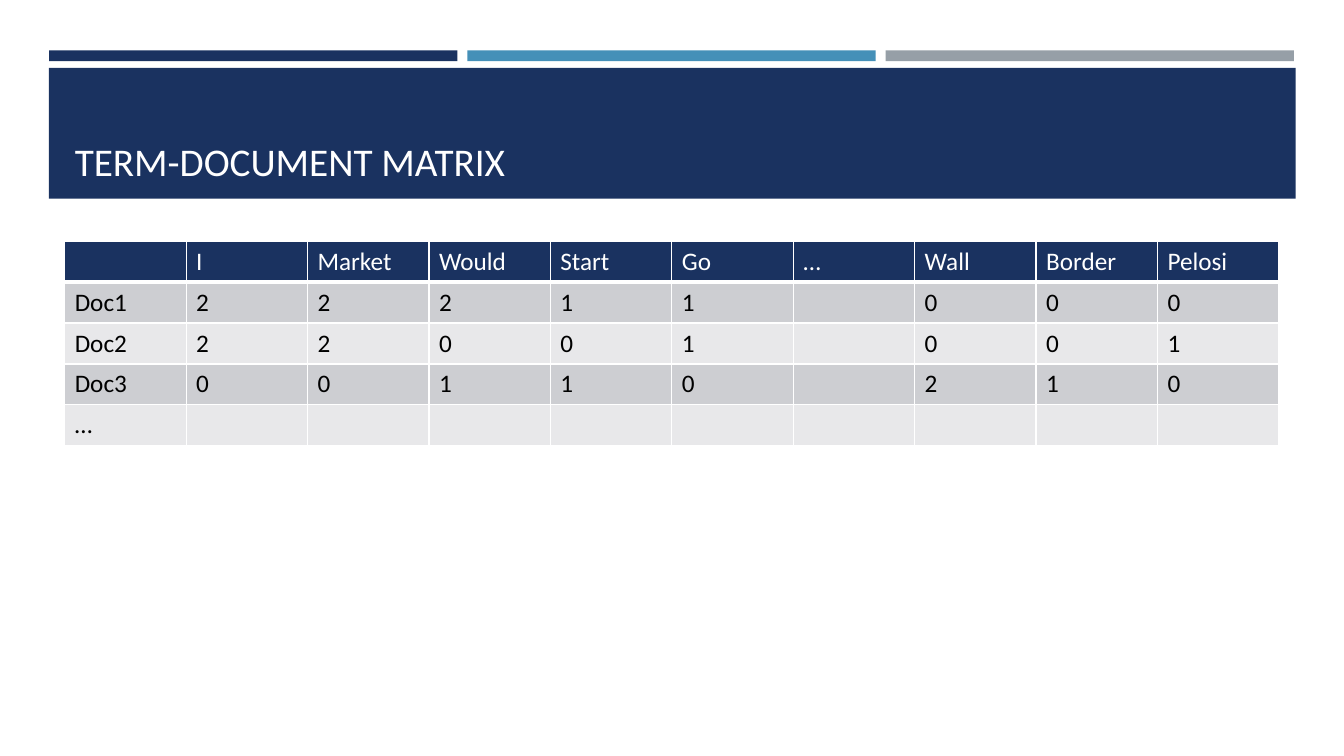
"""Build the term-document matrix slide."""
from lxml import etree
from pptx import Presentation
from pptx.dml.color import RGBColor
from pptx.enum.shapes import MSO_SHAPE
from pptx.enum.text import MSO_ANCHOR, MSO_AUTO_SIZE, PP_ALIGN
from pptx.oxml.ns import qn
from pptx.util import Cm, Pt

RECTANGLE = MSO_SHAPE.RECTANGLE
BOTTOM = MSO_ANCHOR.BOTTOM
NO_AUTOFIT = MSO_AUTO_SIZE.NONE
LEFT = PP_ALIGN.LEFT

NAVY = RGBColor(0x1A, 0x32, 0x60)
BLUE = RGBColor(0x45, 0x90, 0xB8)
GRAY = RGBColor(0x96, 0x9F, 0xA7)
DARK_ROW = RGBColor(0xCD, 0xCE, 0xD2)
LIGHT_ROW = RGBColor(0xE8, 0xE8, 0xEA)
WHITE = RGBColor(0xFF, 0xFF, 0xFF)
BLACK = RGBColor(0x00, 0x00, 0x00)

TERMS = ["", "I", "Market", "Would", "Start", "Go", "…", "Wall", "Border", "Pelosi"]
DOCUMENTS = [
    ["Doc1", "2", "2", "2", "1", "1", "", "0", "0", "0"],
    ["Doc2", "2", "2", "0", "0", "1", "", "0", "0", "1"],
    ["Doc3", "0", "0", "1", "1", "0", "", "2", "1", "0"],
    ["…"] + [""] * 9,
]


class SlideBuilder:
    """Holds the style and the current slide."""

    font = "Calibri"
    title_size = Pt(28)
    cell_size = Pt(18)

    def __init__(self, slide):
        self.slide = slide

    def add_run(self, paragraph, text, size, color):
        run = paragraph.add_run()
        run.text = text
        run.font.name = self.font
        run.font.size = size
        run.font.color.rgb = color

    def bar(self, left, top, width, height, color):
        bar = self.slide.shapes.add_shape(RECTANGLE, Cm(left), Cm(top), Cm(width), Cm(height))
        bar.shadow.inherit = False
        bar.fill.solid()
        bar.fill.fore_color.rgb = color
        bar.line.fill.background()

    def title(self, text, left, top, width, height):
        title = self.slide.shapes.title
        title.left, title.top = Cm(left), Cm(top)
        title.width, title.height = Cm(width), Cm(height)
        title.element.getparent().append(title.element)
        frame = title.text_frame
        frame.word_wrap = True
        frame.auto_size = NO_AUTOFIT
        frame.vertical_anchor = BOTTOM
        heading = frame.paragraphs[0]
        heading.alignment = LEFT
        self.add_run(heading, text, self.title_size, WHITE)

    def cell_borders(self, cell, bottom_width):
        properties = cell._tc.get_or_add_tcPr()
        widths = {"a:lnL": 1, "a:lnR": 1, "a:lnT": 1, "a:lnB": bottom_width}
        for position, (side, width) in enumerate(widths.items()):
            border = etree.Element(qn(side), w=str(Pt(width)))
            fill = etree.SubElement(border, qn("a:solidFill"))
            etree.SubElement(fill, qn("a:srgbClr"), val=str(WHITE))
            properties.insert(position, border)

    def table(self, rows, left, top, column_width, row_height):
        columns = len(rows[0])
        matrix = self.slide.shapes.add_table(
            len(rows), columns, Cm(left), Cm(top),
            Cm(column_width * columns), Cm(row_height * len(rows))).table
        for column in matrix.columns:
            column.width = Cm(column_width)
        for row_number, values in enumerate(rows):
            matrix.rows[row_number].height = Cm(row_height)
            is_header = row_number == 0
            background = NAVY if is_header else (LIGHT_ROW, DARK_ROW)[row_number % 2]
            for column_number, value in enumerate(values):
                cell = matrix.cell(row_number, column_number)
                cell.fill.solid()
                cell.fill.fore_color.rgb = background
                self.cell_borders(cell, 3 if is_header else 1)
                if value:
                    self.add_run(cell.text_frame.paragraphs[0], value,
                                 self.cell_size, WHITE if is_header else BLACK)


presentation = Presentation()
presentation.slide_width = Cm(33.87)
presentation.slide_height = Cm(19.05)
title_only = presentation.slide_layouts[5]
builder = SlideBuilder(presentation.slides.add_slide(title_only))

for position, accent in enumerate((NAVY, BLUE, GRAY)):
    builder.bar(1.24 + position * 10.54, 1.27, 10.29, 0.27, accent)
builder.bar(1.23, 1.71, 31.42, 3.3, NAVY)
builder.title("TERM-DOCUMENT MATRIX", 1.63, 1.96, 30.63, 2.82)
builder.table([TERMS] + DOCUMENTS, 1.63, 6.08, 3.06, 1.03)

presentation.save("out.pptx")
